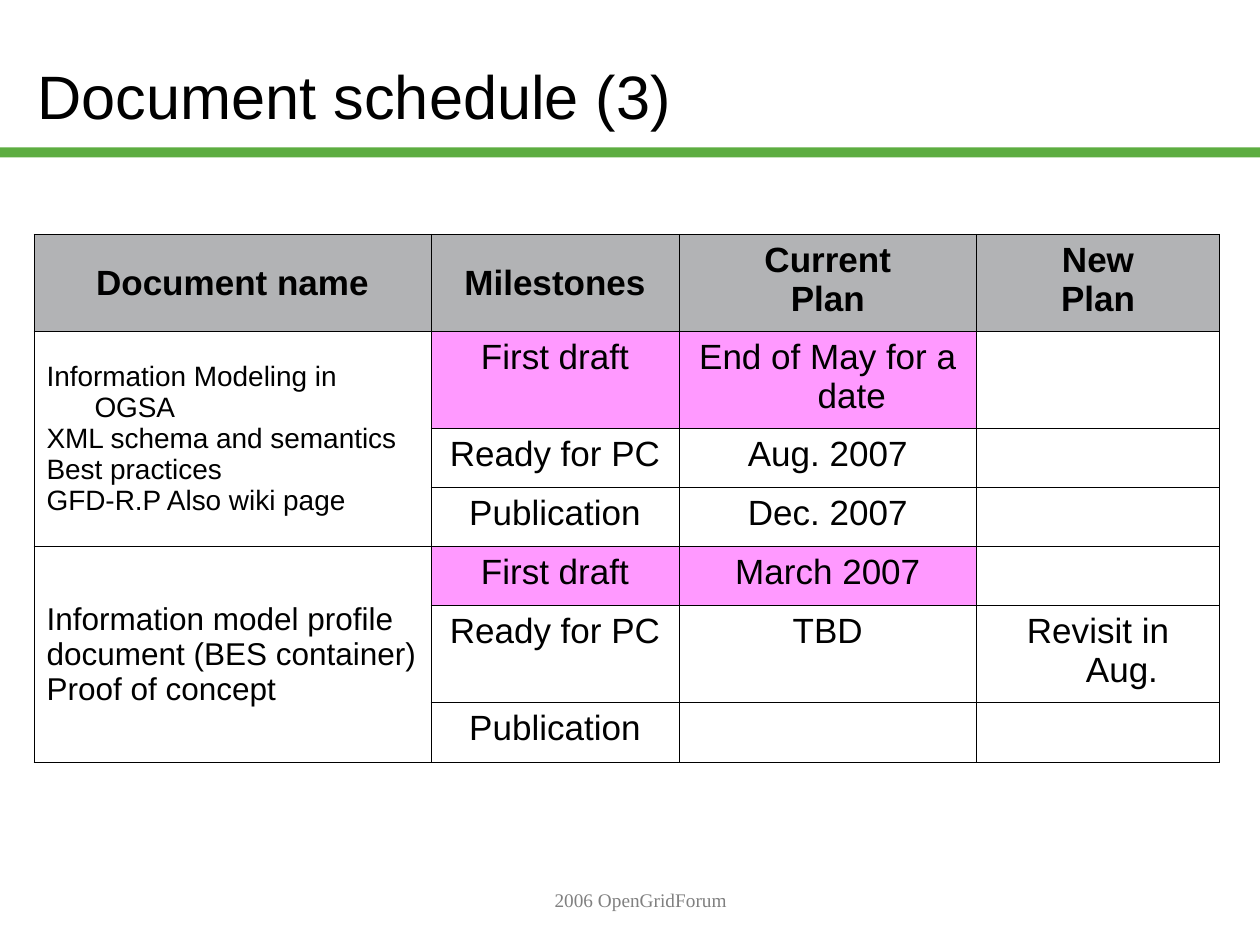
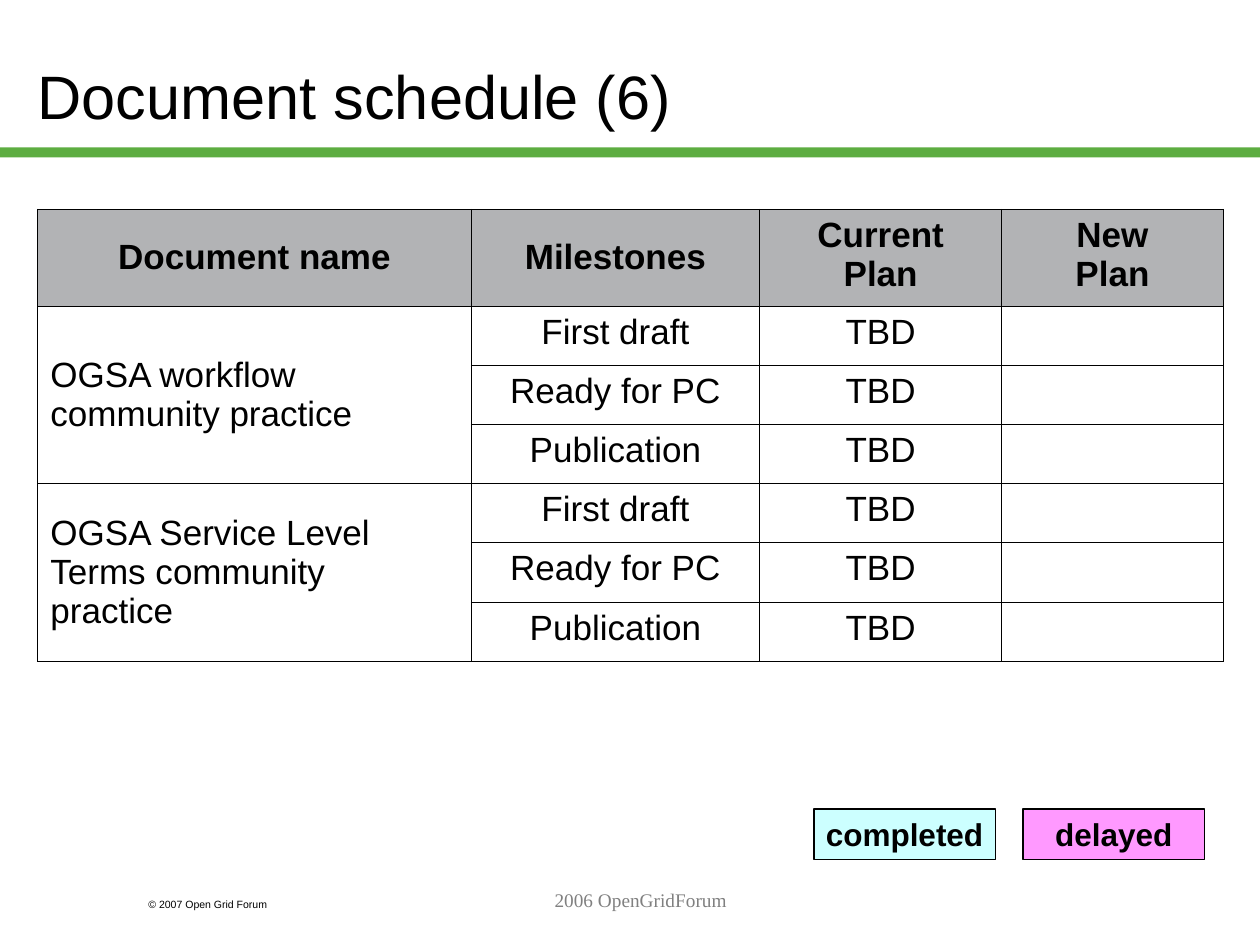
"""Build two document schedule slides with milestone tables and a status legend."""
import dataclasses
import typing

import lxml.etree
import pptx
import pptx.dml.color
import pptx.enum.shapes
import pptx.enum.text
import pptx.oxml.ns
import pptx.util

Inches = pptx.util.Inches
Align = pptx.enum.text.PP_ALIGN
Anchor = pptx.enum.text.MSO_ANCHOR

COLORS = {
    "text": "000000",
    "paper": "FFFFFF",
    "band": "5DAD41",
    "header": "B2B3B5",
    "delayed": "FF99FF",
    "completed": "CCFFFF",
    "footer": "808080",
}
TITLE = {"name": "Arial", "size": pptx.util.Pt(35), "bold": False}
BODY = {"name": "Arial", "size": pptx.util.Pt(20), "bold": False}
HEADING = {**BODY, "bold": True}
LEGEND = {**HEADING, "size": pptx.util.Pt(18)}
COPYRIGHT = {**BODY, "size": pptx.util.Pt(6)}
FOOTER = {**BODY, "name": "Times New Roman", "size": pptx.util.Pt(11)}

HEADERS = ("Document name", "Milestones", "Current\nPlan", "New\nPlan")
MILESTONES = ("First draft", "Ready for PC", "Publication")
HANGING = 0.38
TALL_ROW, SHORT_ROW = 0.77, 0.47


class Box(typing.NamedTuple):
    left: float
    top: float
    width: float
    height: float

    def lengths(self) -> list[int]:
        return [Inches(value) for value in self]


@dataclasses.dataclass(frozen=True)
class Document:
    name: str
    current: tuple[str, str, str]
    new: tuple[str, str, str] = ("", "", "")
    size: int = 20
    hanging: float = HANGING
    draft_delayed: bool = False


@dataclasses.dataclass(frozen=True)
class Schedule:
    title: str
    left: float
    top: float
    columns: tuple[float, ...]
    documents: tuple[Document, ...]
    tall_rows: tuple[int, ...] = (0,)


@dataclasses.dataclass(frozen=True)
class Status:
    label: str
    left: float


SCHEDULES = (
    Schedule("Document schedule (3)", 0.27, 1.86, (3.15, 1.97, 2.36, 1.93), (
        Document("Information Modeling in OGSA\nXML schema and semantics\n"
                 "Best practices\nGFD-R.P Also wiki page",
                 ("End of May for a date", "Aug. 2007", "Dec. 2007"),
                 size=16, draft_delayed=True),
        Document("Information model profile document (BES container)\nProof of concept",
                 ("March 2007", "TBD", ""), ("", "Revisit in Aug.", ""),
                 size=18, hanging=0, draft_delayed=True),
    ), (0, 1, 5)),
    Schedule("Document schedule (6)", 0.3, 1.66, (3.44, 2.29, 1.92, 1.76), (
        Document("OGSA workflow\ncommunity practice", ("TBD",) * 3),
        Document("OGSA Service Level\nTerms community\npractice", ("TBD",) * 3),
    )),
)
STATUSES = (Status("completed", 6.46), Status("delayed", 8.12))


def rgb(color: str) -> pptx.dml.color.RGBColor:
    return pptx.dml.color.RGBColor.from_string(COLORS[color])


def write(frame, text: str, style: dict, align=Align.LEFT, color: str = "text",
          hanging: float = 0) -> None:
    frame.text = text
    for paragraph in frame.paragraphs:
        paragraph.alignment = align
        if hanging:
            properties = paragraph._p.get_or_add_pPr()
            properties.set("marL", str(Inches(hanging)))
            properties.set("indent", str(-Inches(hanging)))
        for attribute, value in style.items():
            setattr(paragraph.font, attribute, value)
        paragraph.font.color.rgb = rgb(color)


def add_text(slide, box: Box, text: str, style: dict, align=Align.LEFT,
             color: str = "text", anchor=Anchor.TOP) -> None:
    frame = slide.shapes.add_textbox(*box.lengths()).text_frame
    frame.word_wrap = True
    frame.vertical_anchor = anchor
    write(frame, text, style, align, color)


def add_panel(slide, box: Box, fill: str, outline: str | None = None):
    panel = slide.shapes.add_shape(pptx.enum.shapes.MSO_SHAPE.RECTANGLE, *box.lengths())
    panel.shadow.inherit = False
    panel.fill.solid()
    panel.fill.fore_color.rgb = rgb(fill)
    if outline:
        panel.line.color.rgb = rgb(outline)
        panel.line.width = pptx.util.Pt(0.75)
    else:
        panel.line.fill.background()
    return panel


def border(cell) -> None:
    qn = pptx.oxml.ns.qn
    properties = cell._tc.get_or_add_tcPr()
    for side in ("lnL", "lnR", "lnT", "lnB"):
        edge = lxml.etree.SubElement(properties, qn(f"a:{side}"), w=str(pptx.util.Pt(0.45)))
        solid = lxml.etree.SubElement(edge, qn("a:solidFill"))
        lxml.etree.SubElement(solid, qn("a:srgbClr"), val=COLORS["text"])


def fill_cell(cell, text: str, style: dict, align=Align.CENTER, anchor=Anchor.TOP,
              fill: str | None = None, hanging: float = HANGING) -> None:
    write(cell.text_frame, text, style, align, hanging=hanging)
    cell.vertical_anchor = anchor
    if fill:
        cell.fill.solid()
        cell.fill.fore_color.rgb = rgb(fill)


def add_schedule(slide, schedule: Schedule) -> None:
    row_count = 1 + len(MILESTONES) * len(schedule.documents)
    heights = [TALL_ROW if row in schedule.tall_rows else SHORT_ROW
               for row in range(row_count)]
    box = Box(schedule.left, schedule.top, sum(schedule.columns), sum(heights))
    grid = slide.shapes.add_table(row_count, len(HEADERS), *box.lengths()).table
    grid.first_row = grid.horz_banding = False
    for column, width in zip(grid.columns, schedule.columns):
        column.width = Inches(width)
    for row, height in zip(grid.rows, heights):
        row.height = Inches(height)
    for cell in grid.iter_cells():
        border(cell)
        cell.fill.background()

    for column, header in enumerate(HEADERS):
        anchor = Anchor.TOP if "\n" in header else Anchor.MIDDLE
        fill_cell(grid.cell(0, column), header, HEADING, anchor=anchor, fill="header")
    for index, document in enumerate(schedule.documents):
        first = 1 + index * len(MILESTONES)
        name = grid.cell(first, 0)
        name.merge(grid.cell(first + len(MILESTONES) - 1, 0))
        fill_cell(name, document.name, {**BODY, "size": pptx.util.Pt(document.size)},
                  Align.LEFT, Anchor.MIDDLE, hanging=document.hanging)
        plans = zip(MILESTONES, document.current, document.new)
        for step, (milestone, current, new) in enumerate(plans):
            fill = "delayed" if document.draft_delayed and step == 0 else None
            fill_cell(grid.cell(first + step, 1), milestone, BODY, fill=fill)
            fill_cell(grid.cell(first + step, 2), current, BODY, fill=fill)
            fill_cell(grid.cell(first + step, 3), new, BODY)


def add_status(slide, status: Status) -> None:
    panel = add_panel(slide, Box(status.left, 6.42, 1.44, 0.4), status.label, "text")
    panel.text_frame.word_wrap = False
    panel.text_frame.vertical_anchor = Anchor.MIDDLE
    write(panel.text_frame, status.label, LEGEND, Align.CENTER)


def add_slide(deck, schedule: Schedule):
    slide = deck.slides.add_slide(deck.slide_layouts[6])
    add_panel(slide, Box(0, 1.17, 10, 0.08), "band")
    add_text(slide, Box(0.2, 0.13, 8.5, 1.25), schedule.title, TITLE, anchor=Anchor.MIDDLE)
    add_schedule(slide, schedule)
    return slide


def add_footer(slide) -> None:
    add_text(slide, Box(2.17, 7, 5.83, 0.5), "2006 OpenGridForum", FOOTER,
             Align.CENTER, "footer")


def main() -> None:
    deck = pptx.Presentation()
    deck.slide_width, deck.slide_height = Inches(10), Inches(7.5)
    modeling, workflow = [add_slide(deck, schedule) for schedule in SCHEDULES]
    add_panel(modeling, Box(0, 6.82, 10, 0.68), "paper", "paper")
    add_text(workflow, Box(1.08, 7.08, 1.5, 0.2), "© 2007 Open Grid Forum", COPYRIGHT)
    for status in STATUSES:
        add_status(workflow, status)
    for slide in (modeling, workflow):
        add_footer(slide)
    deck.save("out.pptx")


if __name__ == "__main__":
    main()
